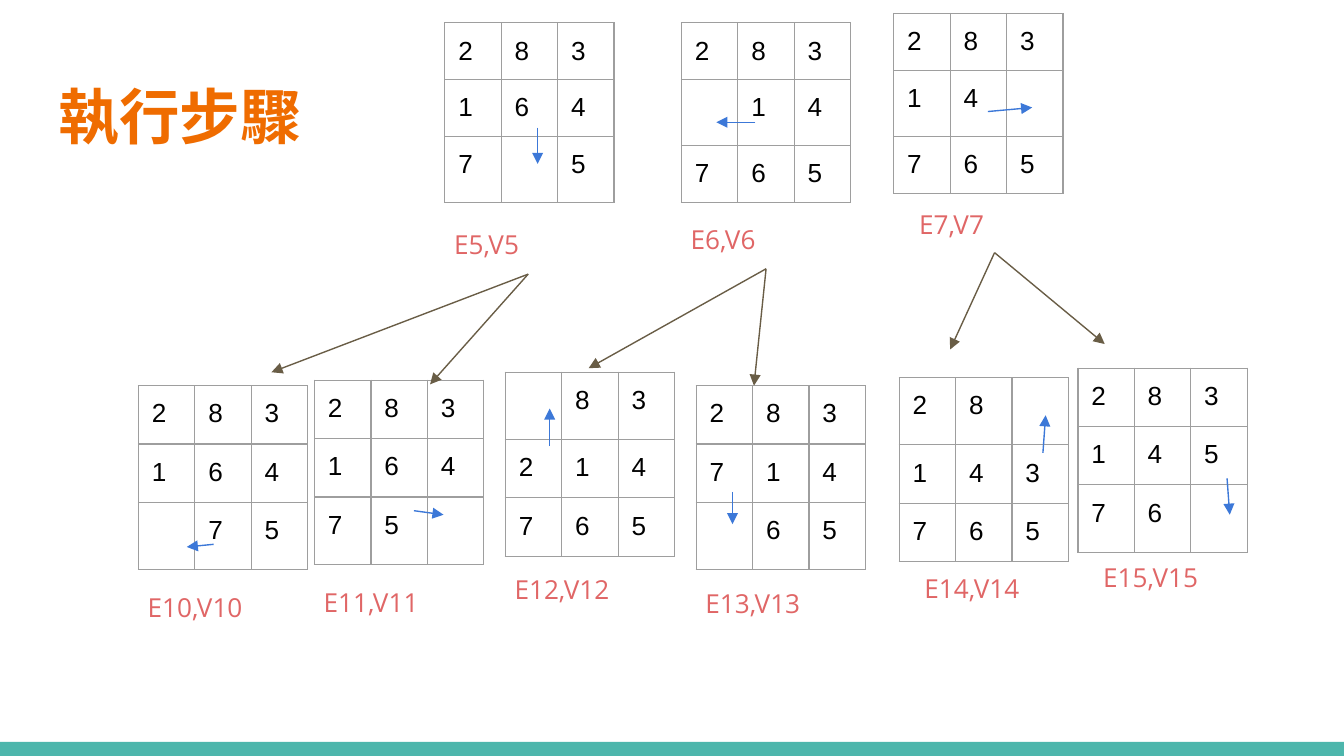
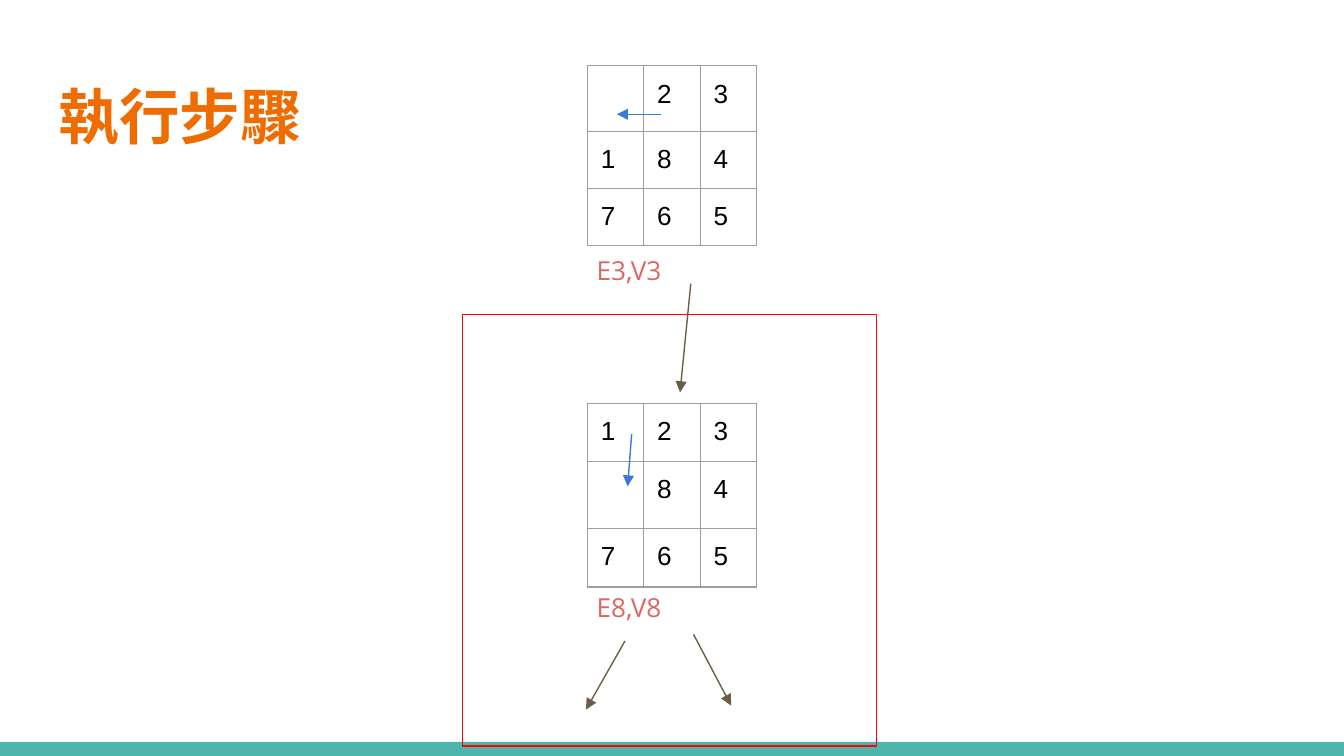
from dataclasses import dataclass
from typing import NamedTuple

from lxml import etree
from pptx import Presentation
from pptx import util as u
from pptx.dml.color import RGBColor
from pptx.enum import shapes, text
from pptx.oxml import parse_xml
from pptx.oxml.ns import nsdecls, qn
from pptx.slide import Slide
from pptx.text.text import TextFrame
from pptx.util import Inches


@dataclass(frozen=True)
class Theme:
    title: str = "EF6C00"
    band: str = "4DB6AC"
    grid: str = "9E9E9E"
    digit: str = "000000"
    label: str = "E06666"
    move: str = "3C78D8"
    branch: str = "695D46"
    highlight: str = "FF0000"
    title_font: str = "Arial Narrow"
    digit_font: str = "Arial"
    label_font: str = "Open Sans"
    title_size: float = 32.4
    body_size: float = 14
    line_width: float = 0.75


THEME = Theme()
SLIDE_WIDTH = Inches(10)
SLIDE_HEIGHT = SLIDE_WIDTH * 9 // 16
CELL_WIDTH = 0.42
ROW_HEIGHT = 0.26  # rows grow to fit their text
BOARD_FRAME = 3.28
INSET = 0.1
UPPER_INSET = 0.09  # tighter cell bottom for the upper boards


class Board(NamedTuple):
    """A puzzle state; a space in a row is the empty square."""
    left: float
    top: float
    rows: tuple[str, str, str]
    bottom_inset: float
    label: str
    label_left: float
    label_top: float


class Arrow(NamedTuple):
    x1: float
    y1: float
    x2: float
    y2: float


class Box(NamedTuple):
    left: float
    top: float
    width: float
    height: float


@dataclass(frozen=True)
class Step:
    boards: tuple[Board, ...]
    moves: tuple[Arrow, ...]
    branches: tuple[Arrow, ...]
    highlight: Box | None = None


TITLE = "執行步驟"
TITLE_BOX = Box(0.34, 0.49, 2.66, 0.77)
BAND_BOX = Box(0, 5.52, 10, 0.11)

STEPS = (
    Step(
        boards=(
            Board(3.31, 0.17, ("283", "164", "7 5"), UPPER_INSET, "E5,V5", 3.28, 1.6),
            Board(5.07, 0.17, ("283", " 14", "765"), UPPER_INSET, "E6,V6", 5.04, 1.56),
            Board(6.65, 0.1, ("283", "14 ", "765"), UPPER_INSET, "E7,V7", 6.74, 1.45),
            Board(1.03, 2.87, ("283", "164", " 75"), INSET, "E10,V10", 1, 4.3),
            Board(2.34, 2.83, ("283", "164", "75 "), INSET, "E11,V11", 2.31, 4.26),
            Board(3.76, 2.77, (" 83", "214", "765"), INSET, "E12,V12", 3.73, 4.17),
            Board(5.18, 2.87, ("283", "714", " 65"), INSET, "E13,V13", 5.15, 4.27),
            Board(6.69, 2.81, ("28 ", "143", "765"), INSET, "E14,V14", 6.78, 4.16),
            Board(8.02, 2.74, ("283", "145", "76 "), INSET, "E15,V15", 8.11, 4.08),
        ),
        moves=(
            Arrow(4, 0.95, 4, 1.22),
            Arrow(5.62, 0.91, 5.33, 0.91),
            Arrow(7.35, 0.83, 7.68, 0.8),
            Arrow(1.59, 4.05, 1.39, 4.07),
            Arrow(3.08, 3.8, 3.3, 3.83),
            Arrow(4.09, 3.32, 4.09, 3.04),
            Arrow(5.45, 3.66, 5.45, 3.9),
            Arrow(7.76, 3.37, 7.78, 3.09),
            Arrow(9.13, 3.56, 9.15, 3.83),
        ),
        branches=(
            Arrow(3.93, 2.04, 2.02, 2.77),
            Arrow(3.93, 2.04, 3.2, 2.86),
            Arrow(5.7, 2, 4.38, 2.74),
            Arrow(5.7, 2, 5.61, 2.87),
            Arrow(7.4, 1.88, 7.07, 2.6),
            Arrow(7.4, 1.88, 8.22, 2.56),
        ),
    ),
    Step(
        boards=(
            Board(4.37, 0.49, (" 23", "184", "765"), UPPER_INSET, "E3,V3", 4.34, 1.79),
            Board(4.37, 3, ("123", " 84", "765"), INSET, "E8,V8", 4.34, 4.3),
        ),
        moves=(
            Arrow(4.92, 0.85, 4.59, 0.85),
            Arrow(4.7, 3.23, 4.67, 3.62),
        ),
        branches=(
            Arrow(5.14, 2.11, 5.06, 2.92),
            Arrow(4.65, 4.77, 4.36, 5.28),
            Arrow(5.16, 4.72, 5.44, 5.25),
        ),
        highlight=Box(3.44, 2.34, 3.08, 3.21),
    ),
)


def rgb(color: str) -> RGBColor:
    return RGBColor.from_string(color)


def write(frame: TextFrame, words: str, font: str, size: float, color: str,
          bold: bool = False) -> None:
    paragraph = frame.paragraphs[0]
    paragraph.add_run().text = words
    paragraph.font.name = font
    paragraph.font.size = u.Pt(size)
    paragraph.font.bold = bold
    paragraph.font.color.rgb = rgb(color)


def add_text(slide: Slide, box: Box) -> TextFrame:
    """Add an empty wrapping text box with even insets."""
    frame = slide.shapes.add_textbox(*map(Inches, box)).text_frame
    frame.word_wrap = True
    frame.margin_left = frame.margin_right = Inches(INSET)
    frame.margin_top = frame.margin_bottom = Inches(INSET)
    return frame


def add_rectangle(slide: Slide, box: Box, fill: str | None = None,
                  outline: str | None = None) -> None:
    rectangle = slide.shapes.add_shape(shapes.MSO_SHAPE.RECTANGLE, *map(Inches, box))
    rectangle.shadow.inherit = False
    if fill:
        rectangle.fill.solid()
        rectangle.fill.fore_color.rgb = rgb(fill)
    else:
        rectangle.fill.background()
    if outline:
        rectangle.line.color.rgb = rgb(outline)
        rectangle.line.width = u.Pt(THEME.line_width)
    else:
        rectangle.line.fill.background()


def add_arrow(slide: Slide, arrow: Arrow, color: str) -> None:
    connector = slide.shapes.add_connector(
        shapes.MSO_CONNECTOR.STRAIGHT, *map(Inches, arrow))
    connector.line.color.rgb = rgb(color)
    connector.line.width = u.Pt(THEME.line_width)
    properties = connector._element.spPr
    etree.SubElement(properties.find(qn("a:ln")), qn("a:tailEnd"), type="triangle")
    etree.SubElement(properties, qn("a:effectLst"))


def add_board(slide: Slide, board: Board) -> None:
    size = len(board.rows)
    frame = slide.shapes.add_table(
        size, size, Inches(board.left), Inches(board.top),
        Inches(BOARD_FRAME), Inches(BOARD_FRAME))
    grid = frame.table
    grid.first_row = grid.horz_banding = False
    for column in grid.columns:
        column.width = Inches(CELL_WIDTH)
    for r, digits in enumerate(board.rows):
        grid.rows[r].height = Inches(ROW_HEIGHT)
        for c, digit in enumerate(digits):
            cell = grid.cell(r, c)
            cell.margin_left = cell.margin_right = cell.margin_top = Inches(INSET)
            cell.margin_bottom = Inches(board.bottom_inset)
            if digit != " ":
                write(cell.text_frame, digit, THEME.digit_font,
                      THEME.body_size, THEME.digit)
            properties = cell._tc.get_or_add_tcPr()
            for side in ("lnL", "lnR", "lnT", "lnB"):
                properties.append(parse_xml(
                    f'<a:{side} {nsdecls("a")} w="{u.Pt(THEME.line_width)}"><a:solidFill>'
                    f'<a:srgbClr val="{THEME.grid}"/></a:solidFill></a:{side}>'))
            cell.fill.background()
    frame.width = frame.height = Inches(BOARD_FRAME)

    label = add_text(slide, Box(board.label_left, board.label_top, 1.32, 0.44))
    label.auto_size = text.MSO_AUTO_SIZE.SHAPE_TO_FIT_TEXT
    write(label, board.label, THEME.label_font, THEME.body_size, THEME.label)


def add_step(deck: Presentation, step: Step) -> None:
    slide = deck.slides.add_slide(deck.slide_layouts[6])
    add_rectangle(slide, BAND_BOX, fill=THEME.band)
    title = add_text(slide, TITLE_BOX)
    write(title, TITLE, THEME.title_font, THEME.title_size, THEME.title, bold=True)
    for board in step.boards:
        add_board(slide, board)
    if step.highlight:
        add_rectangle(slide, step.highlight, outline=THEME.highlight)
    for branch in step.branches:
        add_arrow(slide, branch, THEME.branch)
    for move in step.moves:
        add_arrow(slide, move, THEME.move)


def main() -> None:
    deck = Presentation()
    deck.slide_width = SLIDE_WIDTH
    deck.slide_height = SLIDE_HEIGHT
    for step in STEPS:
        add_step(deck, step)
    deck.save("out.pptx")


if __name__ == "__main__":
    main()
